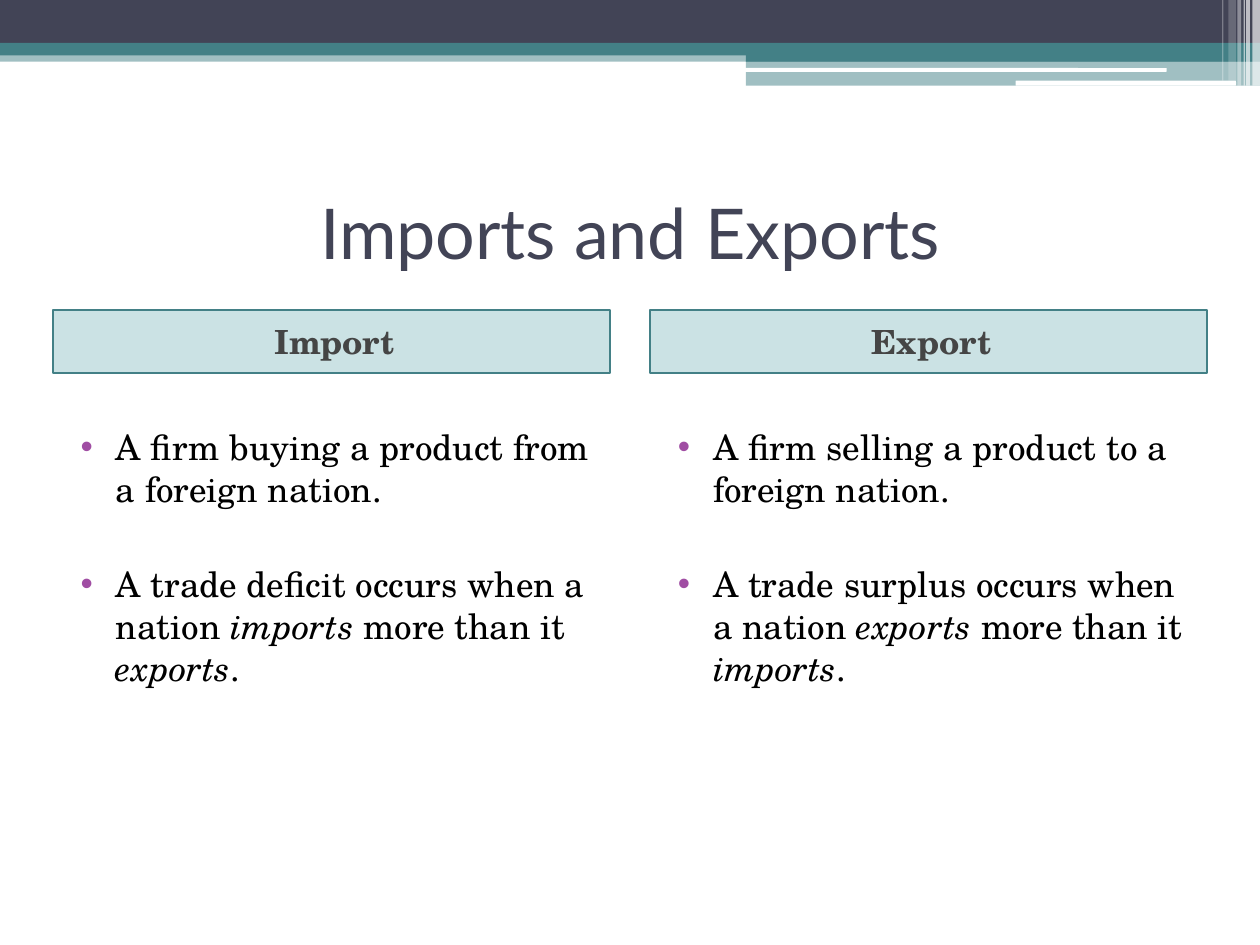
from lxml import etree
from pptx import Presentation
from pptx.dml.color import RGBColor
from pptx.enum.shapes import MSO_SHAPE
from pptx.enum.text import MSO_ANCHOR, MSO_AUTO_SIZE, PP_ALIGN
from pptx.oxml.ns import qn
from pptx.util import Inches, Pt

RECT, ROUND = MSO_SHAPE.RECTANGLE, MSO_SHAPE.ROUNDED_RECTANGLE
LEFT, CENTER = PP_ALIGN.LEFT, PP_ALIGN.CENTER
TOP, MIDDLE = MSO_ANCHOR.TOP, MSO_ANCHOR.MIDDLE
NO_FIT = MSO_AUTO_SIZE.NONE

# Content: a paragraph is a list of (text, italic) runs
TITLE = "Imports and Exports"
SIDES = [
    ("Import", [
        [("A firm buying a product from a foreign nation.", False)],
        [("A trade deficit occurs when a nation ", False), ("imports", True),
         (" more than it ", False), ("exports", True), (".", False)],
    ]),
    ("Export", [
        [("A firm selling a product to a foreign nation.", False)],
        [("A trade surplus occurs when a nation ", False), ("exports", True),
         (" more than it ", False), ("imports", True), (".", False)],
    ]),
]

THEME = {
    "head_font": "Lato", "body_font": "TeX Gyre Schola",
    "title": 40, "head": 19, "body": 20,
    "navy": "424456", "teal": "438086", "white": "FFFFFF", "tint": "328E97",
    "grey": "454545", "black": "000000", "dot": "A04DA3",
}

# Top band: kind, left, top, width, height, colour, opacity in percent
BAND = [
    (RECT, 0, 0.4, 10, 0.09, "teal", 50),
    (RECT, 0, 0, 10, 0.34, "navy", 100),
    (RECT, 0, 0.34, 10, 0.1, "teal", 100),
    (RECT, 5.92, 0.39, 4.08, 0.1, "teal", 100),
    (RECT, 5.92, 0.48, 4.08, 0.2, "teal", 50),
    (ROUND, 5.91, 0.54, 3.35, 0.03, "white", 100),
    (ROUND, 8.06, 0.64, 1.75, 0.04, "white", 100),
]
# Right-edge stripes: left, width, height, opacity in percent
STRIPES = [
    (9.94, 0.06, 0.68, 65), (9.89, 0.03, 0.68, 65), (9.87, 0.01, 0.68, 60),
    (9.82, 0.03, 0.68, 40), (9.75, 0.06, 0.64, 20), (9.7, 0.01, 0.64, 30),
]
BAND += [(RECT, x, 0, w, h, "white", a) for x, w, h, a in STRIPES]

MARGIN, COL, HEAD_TOP, HEAD_H, LIST_H = 0.42, 4.42, 2.46, 0.5, 4.25
STEP = 10 - 2 * MARGIN - COL


def color(name):
    return RGBColor.from_string(THEME[name])


def place(shape, x, y, w, h):
    shape.left, shape.top = Inches(x), Inches(y)
    shape.width, shape.height = Inches(w), Inches(h)


def paint(shape, name, alpha=100):
    shape.fill.solid()
    shape.fill.fore_color.rgb = color(name)
    if alpha < 100:
        node = shape._element.spPr.find(qn("a:solidFill")).find(qn("a:srgbClr"))
        etree.SubElement(node, qn("a:alpha"), val=str(alpha * 1000))


def write(shape, paras, font="body_font", size="body", ink="black", bold=False,
          align=LEFT, anchor=TOP, inset=0.05, before=0, gap=0,
          indent=(0, 0), bullet=False):
    frame = shape.text_frame
    frame.word_wrap, frame.auto_size = True, NO_FIT
    frame.vertical_anchor, frame.margin_top = anchor, Inches(inset)
    for i, runs in enumerate(paras):
        para = frame.add_paragraph() if i else frame.paragraphs[0]
        para.alignment = align
        para.space_before = Pt(gap if i else before)
        props = para._p.get_or_add_pPr()
        props.set("marL", str(Inches(indent[0])))
        props.set("indent", str(Inches(indent[1])))
        if bullet:
            tone = etree.SubElement(props, qn("a:buClr"))
            etree.SubElement(tone, qn("a:srgbClr"), val=THEME["dot"])
            etree.SubElement(props, qn("a:buChar"), char="•")
        for text, slant in runs:
            run = para.add_run()
            run.text = text
            run.font.name, run.font.size = THEME[font], Pt(THEME[size])
            run.font.bold, run.font.italic = bold, slant
            run.font.color.rgb = color(ink)


def main():
    deck = Presentation()
    deck.slide_width, deck.slide_height = Inches(10), Inches(7.5)
    slide = deck.slides.add_slide(deck.slide_layouts.get_by_name("Comparison"))

    # Top band
    for kind, x, y, w, h, name, alpha in BAND:
        bar = slide.shapes.add_shape(
            kind, Inches(x), Inches(y), Inches(w), Inches(h))
        bar.shadow.inherit = False
        bar.line.fill.background()
        paint(bar, name, alpha)

    # Title
    title = slide.shapes.title
    place(title, MARGIN, 1.25, 10 - 2 * MARGIN, 1.17)
    write(title, [[(TITLE, False)]], font="head_font", size="title",
          ink="navy", align=CENTER, anchor=MIDDLE)

    # Two columns, each a heading over a list
    holders = list(slide.placeholders)[1:]
    for i, (label, points) in enumerate(SIDES):
        head, body = holders[2 * i:2 * i + 2]
        x = MARGIN + i * STEP
        place(head, x, HEAD_TOP, COL, HEAD_H)
        paint(head, "tint", 25)
        head.line.color.rgb, head.line.width = color("teal"), Pt(1)
        write(head, [[(label, False)]], size="head", ink="grey", bold=True,
              align=CENTER, anchor=MIDDLE, before=3, indent=(0.05, 0))
        place(body, x, HEAD_TOP + HEAD_H, COL, LIST_H)
        write(body, points, inset=0.42, before=3, gap=30,
              indent=(0.4, -0.28), bullet=True)

    deck.save("out.pptx")


if __name__ == "__main__":
    main()
